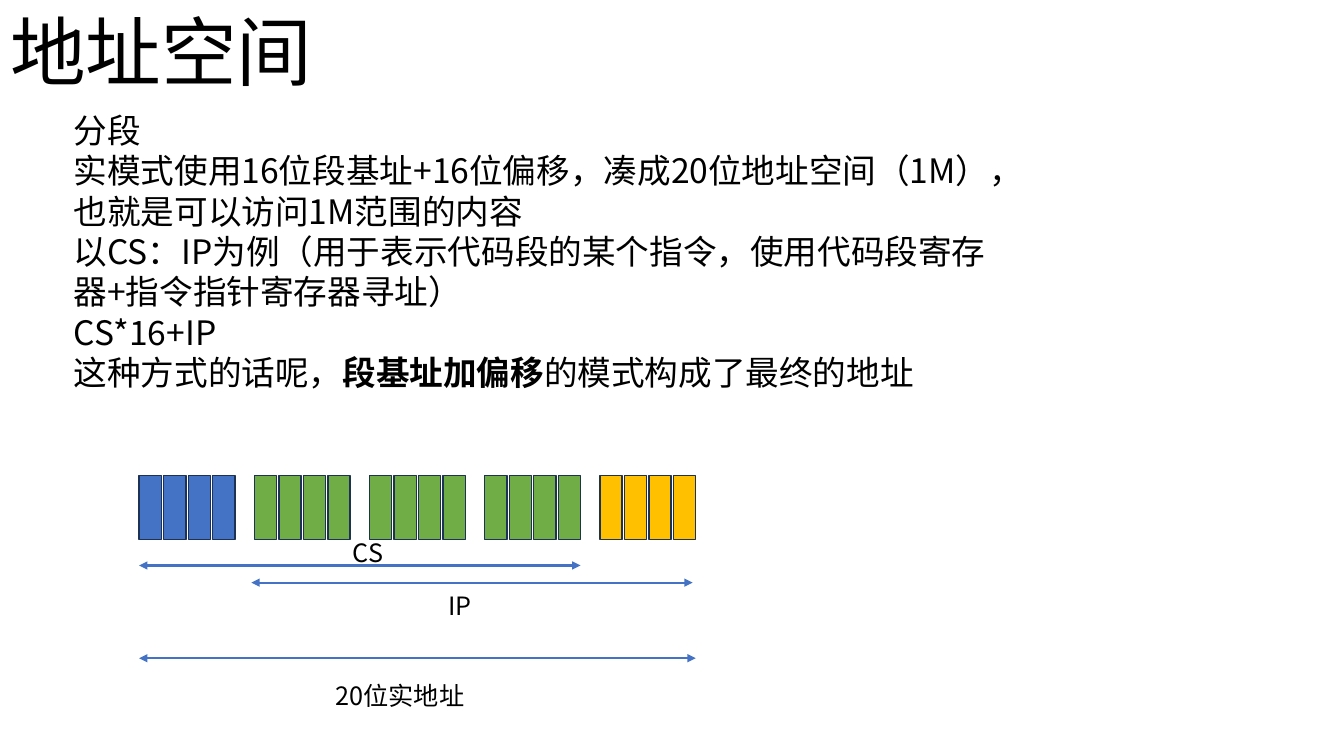
from lxml import etree
from pptx import Presentation
from pptx.dml.color import RGBColor
from pptx.enum.shapes import MSO_CONNECTOR as Connector, MSO_SHAPE as Shape
from pptx.enum.text import MSO_ANCHOR as Anchor, MSO_AUTO_SIZE as AutoSize, PP_ALIGN as Align
from pptx.oxml.ns import qn
from pptx.util import Inches, Pt

FONT = "Noto Sans CJK SC"
BLACK, BLUE, GREEN, AMBER, NAVY = "000000", "4472C4", "70AD47", "FFC000", "1E3256"

HEADING = "地址空间"
EXPLANATION = [
    [("分段", False)],
    [("实模式使用16位段基址+16位偏移，凑成20位地址空间（1M），也就是可以访问1M范围的内容", False)],
    [("以CS：IP为例（用于表示代码段的某个指令，使用代码段寄存器+指令指针寄存器寻址）", False)],
    [("CS*16+IP", False)],
    [("这种方式的话呢，", False), ("段基址加偏移", True), ("的模式构成了最终的地址", False)],
]
NIBBLES = [BLUE, GREEN, GREEN, GREEN, AMBER]
BITS = 4
SPANS = [
    ("CS", 0, 3, 0, 5.61, (3.4, 5.28, 1.14)),
    ("IP", 1, 4, -0.03, 5.78, (4.35, 5.81, 1.14)),
    ("20位实地址", 0, 4, 0, 6.53, (3.23, 6.7, 1.91)),
]

ROW_LEFT, ROW_RIGHT, ROW_TOP = 1.38, 6.9, 4.72
BIT_WIDTH, BIT_HEIGHT, NIBBLE_WIDTH = 0.22, 0.63, 0.95
NIBBLE_STEP = (ROW_RIGHT - ROW_LEFT - NIBBLE_WIDTH) / (len(NIBBLES) - 1)
BIT_STEP = (NIBBLE_WIDTH - BIT_WIDTH) / (BITS - 1)


def rgb(code):
    return RGBColor.from_string(code)


def place(box, left, top, width, height):
    box.left, box.top = Inches(left), Inches(top)
    box.width, box.height = Inches(width), Inches(height)


def write(frame, paragraphs, size, wrap=True):
    frame.word_wrap = wrap
    frame.auto_size = AutoSize.SHAPE_TO_FIT_TEXT
    frame.vertical_anchor = Anchor.TOP
    for index, pieces in enumerate(paragraphs):
        paragraph = frame.paragraphs[0] if index == 0 else frame.add_paragraph()
        paragraph.alignment = Align.LEFT
        paragraph.space_before = Pt(0)
        properties = paragraph._p.get_or_add_pPr()
        properties.set("marL", "0")
        properties.set("indent", "0")
        etree.SubElement(properties, qn("a:buNone"))
        font = paragraph.font
        font.name, font.size = FONT, Pt(size)
        font.color.rgb = rgb(BLACK)
        latin = properties.find(qn("a:defRPr")).find(qn("a:latin"))
        latin.addnext(etree.Element(qn("a:ea"), typeface=FONT))
        for words, bold in pieces:
            run = paragraph.add_run()
            run.text = words
            if bold:
                run.font.bold = True


def nibble_left(index):
    return ROW_LEFT + index * NIBBLE_STEP


def add_bit(slide, left, colour):
    bit = slide.shapes.add_shape(Shape.RECTANGLE, Inches(left), Inches(ROW_TOP),
                                 Inches(BIT_WIDTH), Inches(BIT_HEIGHT))
    bit.shadow.inherit = False
    bit.fill.solid()
    bit.fill.fore_color.rgb = rgb(colour)
    bit.line.color.rgb = rgb(NAVY)
    bit.line.width = Pt(1)


def add_span(slide, start, end, top):
    arrow = slide.shapes.add_connector(Connector.STRAIGHT, Inches(start), Inches(top),
                                       Inches(end), Inches(top))
    arrow.line.color.rgb = rgb(BLUE)
    arrow.line.width = Pt(1.5)
    outline = arrow.line._get_or_add_ln()
    for tip in ("a:headEnd", "a:tailEnd"):
        etree.SubElement(outline, qn(tip), type="triangle")
    etree.SubElement(arrow._element.spPr, qn("a:effectLst"))


def main():
    deck = Presentation()
    deck.slide_width, deck.slide_height = Inches(13.33), Inches(7.5)
    slide = deck.slides.add_slide(deck.slide_layouts[1])

    title, body = slide.placeholders
    place(title, 0, 0, 3.23, 1.01)
    write(title.text_frame, [[(HEADING, False)]], 54, wrap=False)
    place(body, 0.63, 1.04, 9.5, 2.93)
    write(body.text_frame, EXPLANATION, 24)

    for index, colour in enumerate(NIBBLES):
        for bit in range(BITS):
            add_bit(slide, nibble_left(index) + bit * BIT_STEP, colour)

    for name, first, last, shift, top, (left, label_top, width) in SPANS:
        add_span(slide, nibble_left(first) + shift,
                 nibble_left(last) + NIBBLE_WIDTH + shift, top)
        label = slide.shapes.add_textbox(Inches(left), Inches(label_top),
                                         Inches(width), Inches(0.4))
        write(label.text_frame, [[(name, False)]], 18)

    deck.save("out.pptx")


if __name__ == "__main__":
    main()
